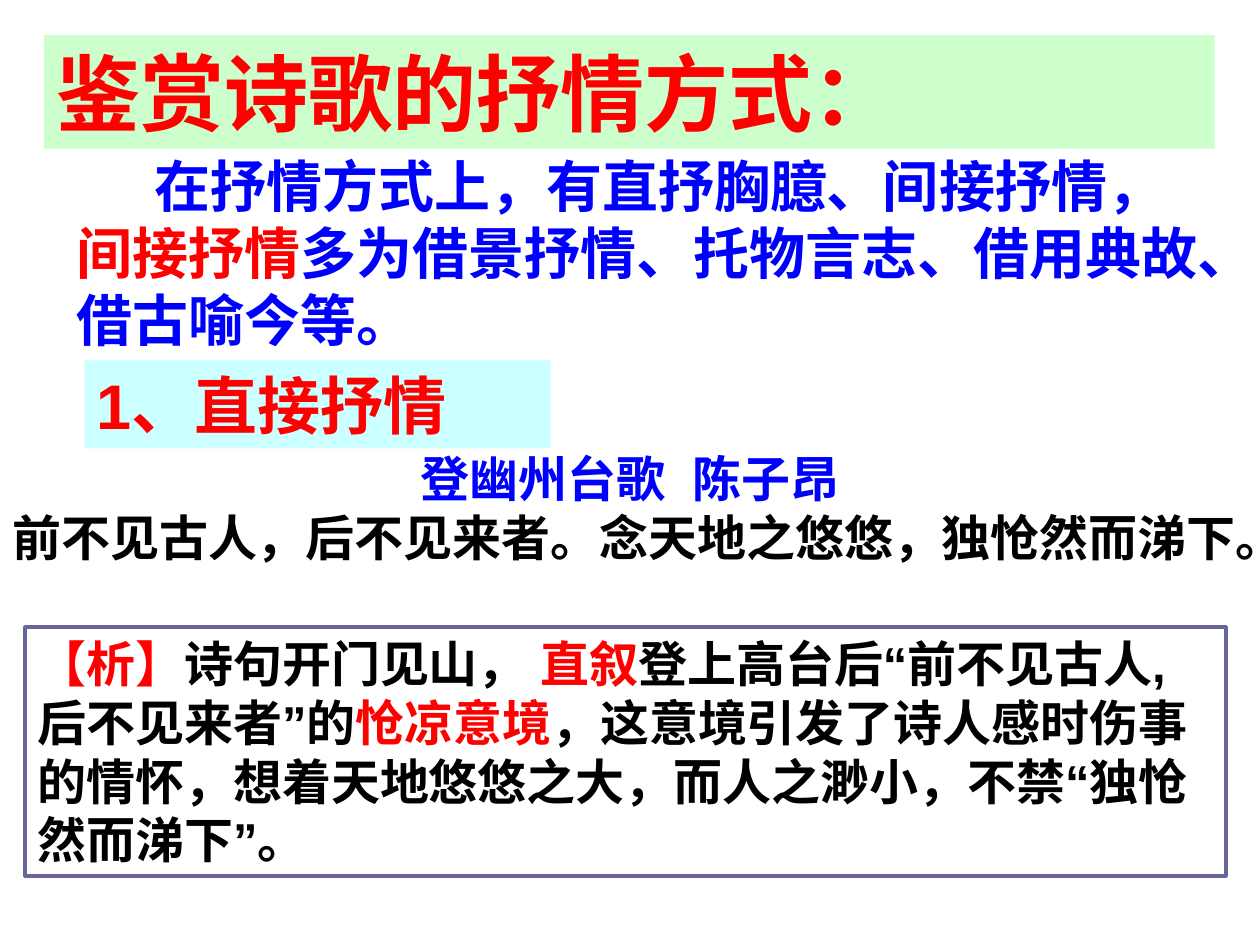
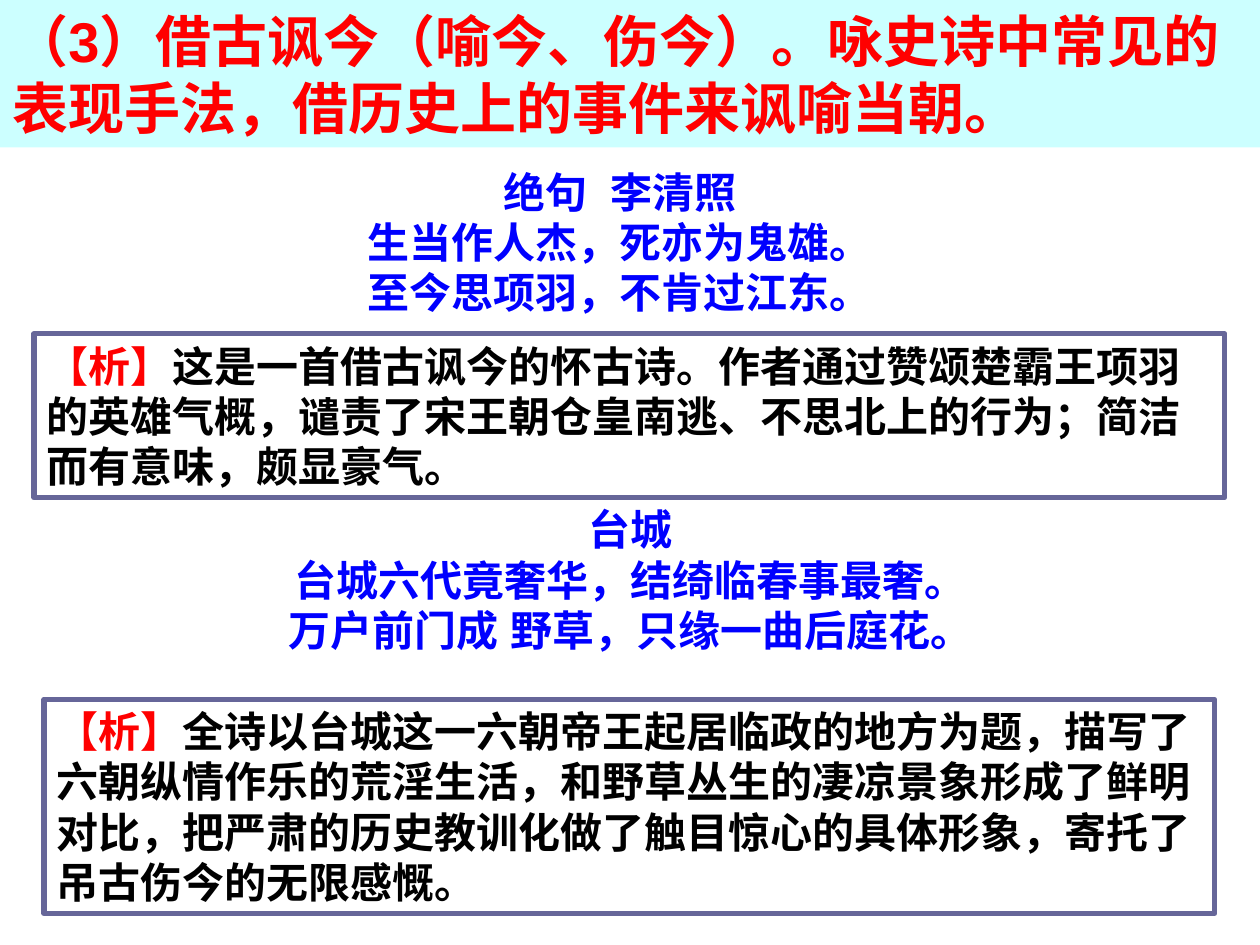
"""Build two slides on how classical Chinese poems express feeling."""
from lxml import etree
from pptx import Presentation
from pptx.dml.color import RGBColor
from pptx.enum.lang import MSO_LANGUAGE_ID
from pptx.enum.shapes import MSO_SHAPE
from pptx.enum.text import MSO_ANCHOR, PP_ALIGN
from pptx.oxml.ns import qn
from pptx.util import Inches, Pt

RECT = MSO_SHAPE.RECTANGLE
TOP = MSO_ANCHOR.TOP
LEFT, CENTER = PP_ALIGN.LEFT, PP_ALIGN.CENTER
CHINESE = MSO_LANGUAGE_ID.SIMPLIFIED_CHINESE

FONT = "Arial"
LINE_HEIGHT = 1.2
RED, BLUE, BLACK = "FF0000", "0000FF", "000000"
GREEN_BAND, CYAN_BAND, FRAME = "CCFFCC", "CCFFFF", "666699"
NOTE_MARK = ("【析】", RED)


def poem(*lines):
    return [(CENTER, [(line, BLUE)]) for line in lines]


def prose(*runs):
    return [(LEFT, list(runs))]


SLIDES = [
    [
        dict(at=(0.35, 0.28, 9.29, 0.9), size=48, fill=GREEN_BAND,
             paras=prose(("鉴赏诗歌的抒情方式：", RED))),
        dict(at=(0.51, 1.15, 9.13, 1.7), size=32, indent=0.62,
             paras=prose(("在抒情方式上，有直抒胸臆、间接抒情，", BLUE),
                         ("间接抒情", RED),
                         ("多为借景抒情、托物言志、借用典故、借古喻今等。", BLUE))),
        dict(at=(0.67, 2.86, 3.7, 0.7), size=36, fill=CYAN_BAND,
             paras=prose(("1、直接抒情", RED))),
        dict(at=(0, 3.51, 10, 1.04), size=28,
             paras=poem("登幽州台歌  陈子昂")
             + prose(("前不见古人，后不见来者。念天地之悠悠，独怆然而涕下。", BLACK))),
        dict(at=(0.2, 4.98, 9.53, 1.97), size=28, border=2.25,
             paras=prose(NOTE_MARK,
                         ("诗句开门见山， ", BLACK),
                         ("直叙", RED),
                         ("登上高台后“前不见古人,后不见来者”的", BLACK),
                         ("怆凉意境", RED),
                         ("，这意境引发了诗人感时伤事的情怀，想着天地悠悠之大，"
                          "而人之渺小，不禁“独怆然而涕下”。", BLACK))),
    ],
    [
        dict(at=(0, 0, 10, 1.17), size=32, fill=CYAN_BAND,
             paras=prose(("（3）借古讽今（喻今、伤今）。咏史诗中常见的表现手法，"
                          "借历史上的事件来讽喻当朝。", RED))),
        dict(at=(0.27, 2.65, 9.45, 1.3), size=24, border=3,
             paras=prose(NOTE_MARK,
                         ("这是一首借古讽今的怀古诗。作者通过赞颂楚霸王项羽的英雄气概，"
                          "谴责了宋王朝仓皇南逃、不思北上的行为；简洁而有意味，颇显豪气。", BLACK))),
        dict(at=(0.35, 1.27, 9.14, 1.3), size=24,
             paras=poem("绝句  李清照", "生当作人杰，死亦为鬼雄。", "至今思项羽，不肯过江东。")),
        dict(at=(1.46, 3.95, 7.09, 1.3), size=24,
             paras=poem("台城", "台城六代竟奢华，结绮临春事最奢。",
                        "万户前门成 野草，只缘一曲后庭花。")),
        dict(at=(0.35, 5.55, 9.29, 1.7), size=24, border=3,
             paras=prose(NOTE_MARK,
                         ("全诗以台城这一六朝帝王起居临政的地方为题，描写了六朝纵情作乐的荒淫生活，"
                          "和野草丛生的凄凉景象形成了鲜明对比，把严肃的历史教训化做了触目惊心的"
                          "具体形象，寄托了吊古伤今的无限感慨。", BLACK))),
    ],
]


def rgb(color):
    return RGBColor.from_string(color)


def add_run(p, text, color, size):
    r = p.add_run()
    r.text = text
    r.font.name = FONT
    r.font.size = Pt(size)
    r.font.bold = True
    r.font.color.rgb = rgb(color)
    r.font.language_id = CHINESE
    latin = r.font._element.find(qn("a:latin"))
    east_asian = etree.Element(qn("a:ea"), typeface=FONT)
    latin.addnext(east_asian)


def add_panel(s, at, fill, border):
    sp = s.shapes.add_shape(RECT, *at)
    sp.shadow.inherit = False
    if fill:
        sp.fill.solid()
        sp.fill.fore_color.rgb = rgb(fill)
    else:
        sp.fill.background()
    if border:
        sp.line.color.rgb = rgb(FRAME)
        sp.line.width = Pt(border)
    else:
        sp.line.fill.background()
    return sp


def add_block(s, at, size, paras, fill=None, border=None, indent=0):
    at = [Inches(v) for v in at]
    if fill or border:
        sp = add_panel(s, at, fill, border)
    else:
        sp = s.shapes.add_textbox(*at)
    tf = sp.text_frame
    tf.word_wrap = True
    tf.vertical_anchor = TOP
    for i, (align, runs) in enumerate(paras):
        p = tf.add_paragraph() if i else tf.paragraphs[0]
        p.alignment = align
        p.line_spacing = Pt(size * LINE_HEIGHT)
        if indent:
            p._p.get_or_add_pPr().set("indent", str(Inches(indent)))
        for text, color in runs:
            add_run(p, text, color, size)


def main():
    prs = Presentation()
    prs.slide_width, prs.slide_height = Inches(10), Inches(7.5)
    for blocks in SLIDES:
        s = prs.slides.add_slide(prs.slide_layouts[6])
        for block in blocks:
            add_block(s, **block)
    prs.save("out.pptx")


if __name__ == "__main__":
    main()
